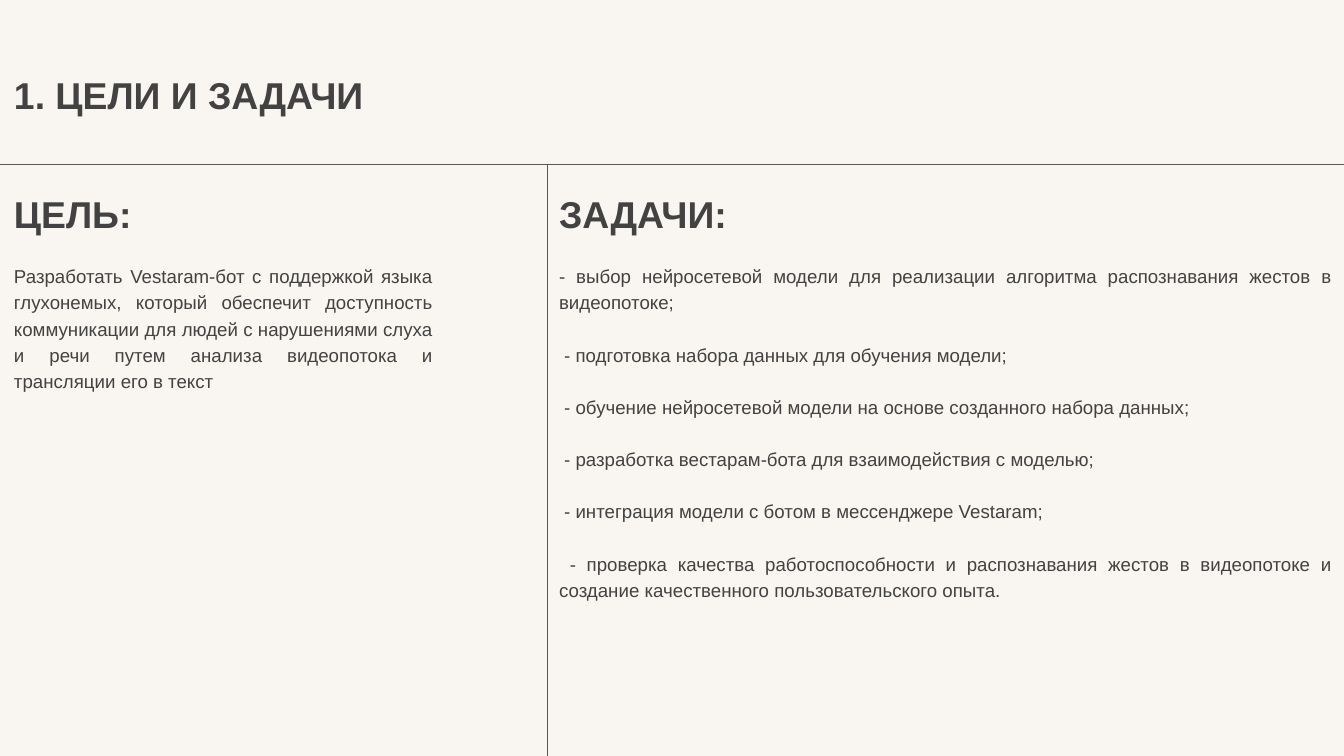
from pptx import Presentation
from pptx.dml.color import RGBColor
from pptx.enum.shapes import MSO_CONNECTOR
from pptx.enum.text import MSO_AUTO_SIZE, PP_ALIGN
from pptx.oxml.ns import qn
from pptx.util import Pt
from lxml.etree import SubElement

WIDTH, HEIGHT = 1440, 810
LEFT, RIGHT = 15, 599
DIVIDER_X, DIVIDER_Y = 586, 176.5
TITLE_TOP, HEADING_TOP, BODY_TOP = 69, 196.5, 280

GOAL = (
    "Разработать Vestaram-бот с поддержкой языка глухонемых, который обеспечит "
    "доступность коммуникации для людей с нарушениями слуха и речи путем анализа "
    "видеопотока и трансляции его в текст"
)
TASKS = [
    ("- выбор нейросетевой модели для реализации алгоритма распознавания жестов в видеопотоке;", 0),
    ("- подготовка набора данных для обучения модели;", 5.5),
    ("- обучение нейросетевой модели на основе созданного набора данных;", 5.5),
    ("- разработка вестарам-бота для взаимодействия с моделью;", 5.5),
    ("- интеграция модели с ботом в мессенджере Vestaram;", 5.5),
    ("- проверка качества работоспособности и распознавания жестов в видеопотоке "
     "и создание качественного пользовательского опыта.", 11.5),
]


def color(value):
    return RGBColor.from_string(value)


def write(paragraph, text, size=20, bold=False, align=PP_ALIGN.LEFT, before=0, indent=0):
    if indent:
        paragraph._p.get_or_add_pPr().set("indent", str(Pt(indent)))
    paragraph.alignment = align
    paragraph.line_spacing = Pt(size * 1.4)
    paragraph.space_before = Pt(before)
    run = paragraph.add_run()
    run.text = text
    run.font.name = "Arial"
    run.font.size = Pt(size)
    run.font.bold = bold
    run.font.color.rgb = color("424242")


class GoalsSlide:
    """Holds the style and the current slide."""

    background, rule = "F9F5F0", "595959"

    def __init__(self, slide):
        self.slide = slide
        slide.background.fill.solid()
        slide.background.fill.fore_color.rgb = color(self.background)

    def line(self, x1, y1, x2, y2):
        connector = self.slide.shapes.add_connector(
            MSO_CONNECTOR.STRAIGHT, Pt(x1), Pt(y1), Pt(x2), Pt(y2))
        connector.line.color.rgb = color(self.rule)
        connector.line.width = Pt(0.75)
        SubElement(connector._element.spPr, qn("a:effectLst"))

    def box(self, left, top, width, height):
        frame = self.slide.shapes.add_textbox(
            Pt(left), Pt(top), Pt(width), Pt(height)).text_frame
        frame.margin_left = frame.margin_right = frame.margin_top = frame.margin_bottom = 0
        frame.word_wrap = True
        frame.auto_size = MSO_AUTO_SIZE.SHAPE_TO_FIT_TEXT
        return frame

    def heading(self, text, left, top, width):
        write(self.box(left, top, width, 60).paragraphs[0], text, size=40, bold=True)

    def body(self, items, left, width, height):
        frame = self.box(left, BODY_TOP, width, height)
        for index, (text, indent) in enumerate(items):
            paragraph = frame.add_paragraph() if index else frame.paragraphs[0]
            write(paragraph, text, align=PP_ALIGN.JUSTIFY,
                  before=28 if index else 0, indent=indent)


def main():
    presentation = Presentation()
    presentation.slide_width, presentation.slide_height = Pt(WIDTH), Pt(HEIGHT)
    page = GoalsSlide(presentation.slides.add_slide(presentation.slide_layouts[6]))
    page.line(0, DIVIDER_Y, WIDTH, DIVIDER_Y)
    page.line(DIVIDER_X, HEIGHT, DIVIDER_X, DIVIDER_Y)
    page.heading("ЦЕЛЬ:", LEFT, HEADING_TOP, 510.5)
    page.heading("ЗАДАЧИ:", RIGHT, HEADING_TOP, 751.5)
    page.body([(GOAL, 0)], LEFT, 448.5, 142)
    page.body(TASKS, RIGHT, 828, 391)
    page.heading("1. ЦЕЛИ И ЗАДАЧИ", LEFT, TITLE_TOP, 510.5)
    presentation.save("out.pptx")


if __name__ == "__main__":
    main()
